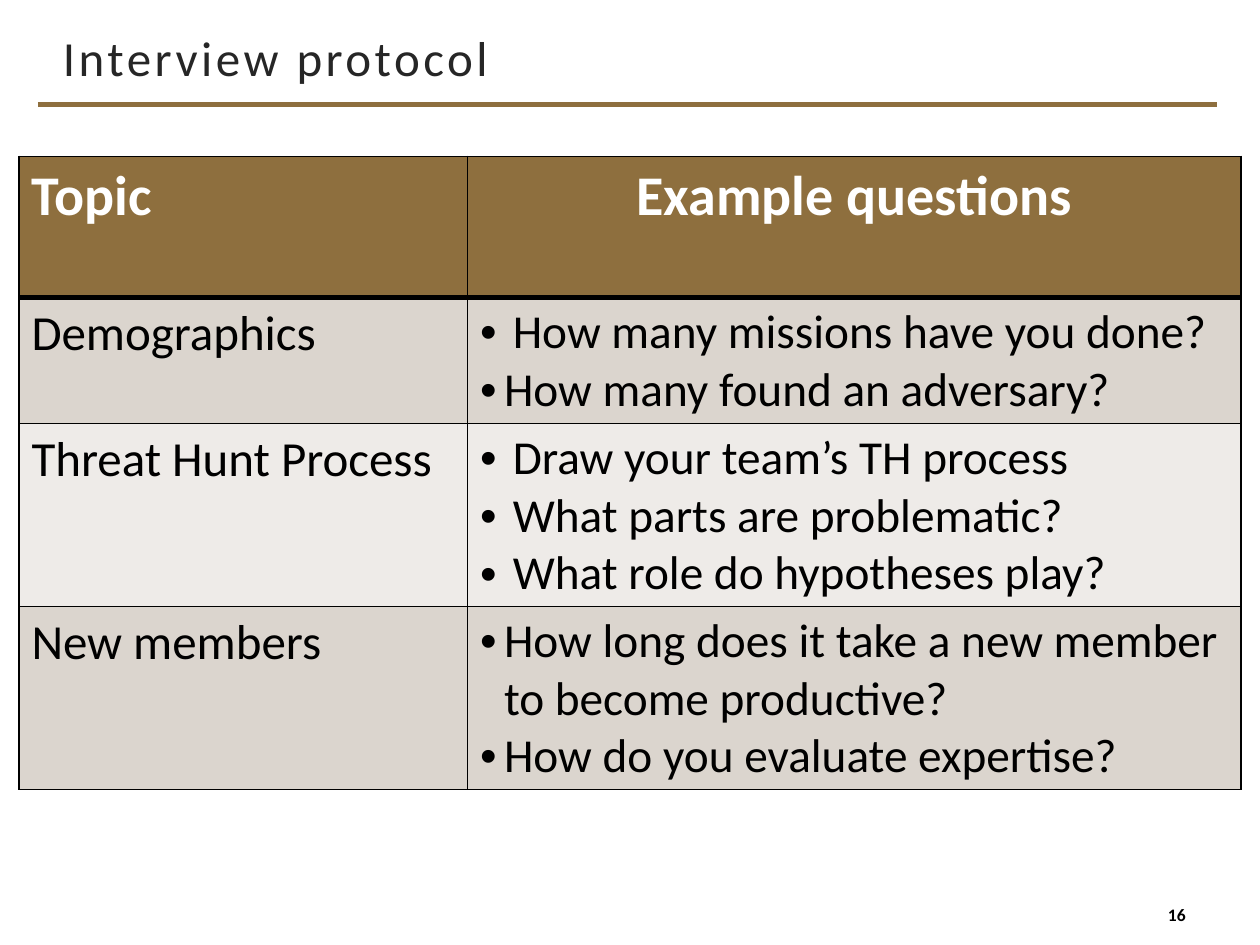
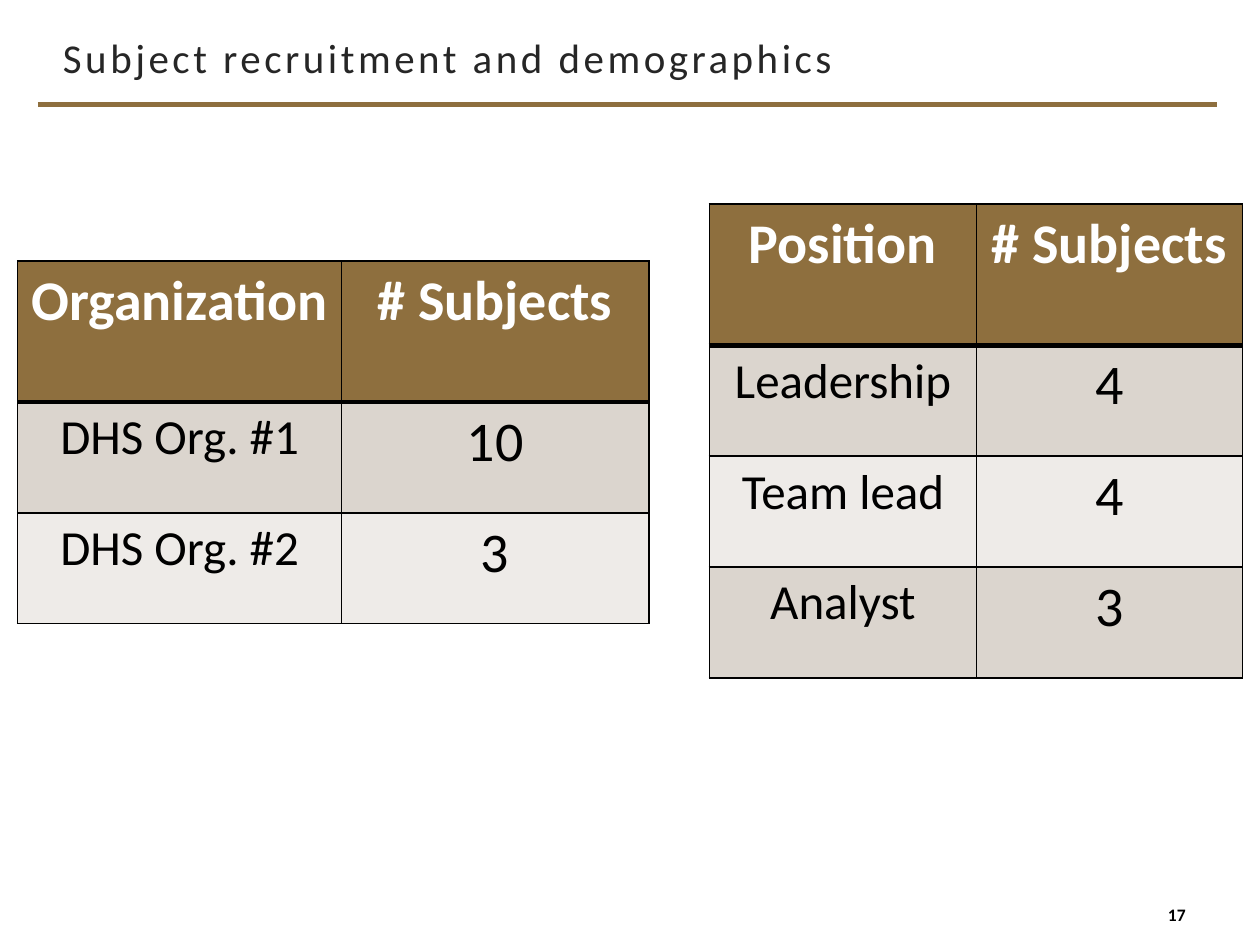
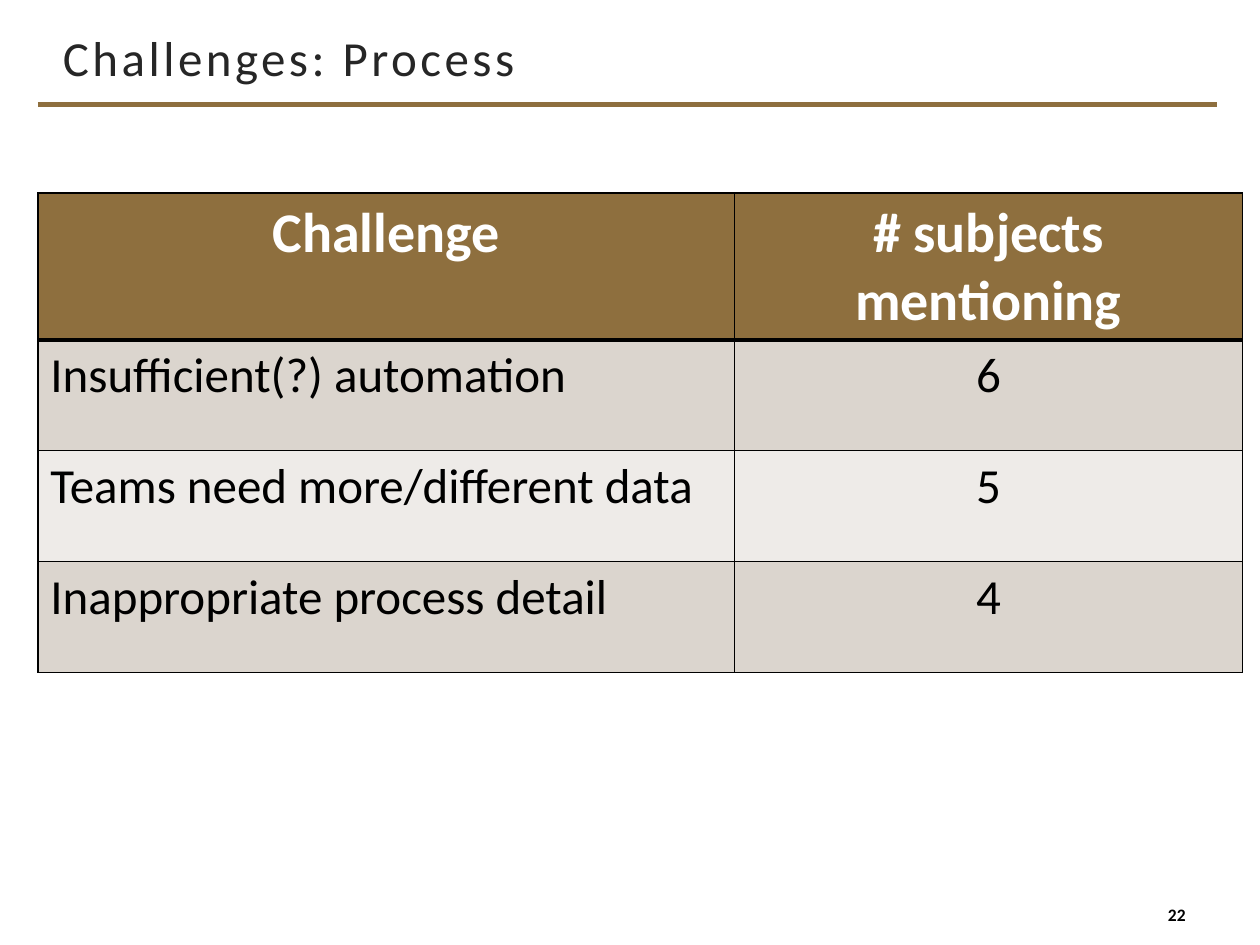
"""Build three interview-study slides with titled bands, tables and page numbers."""
import pptx
import pptx.dml.color
import pptx.enum.shapes
import pptx.enum.text
import pptx.oxml
import pptx.oxml.ns
import pptx.util

Inches, Pt = pptx.util.Inches, pptx.util.Pt
RGB = pptx.dml.color.RGBColor
ALIGN = {"l": pptx.enum.text.PP_ALIGN.LEFT, "c": pptx.enum.text.PP_ALIGN.CENTER}
MIDDLE = pptx.enum.text.MSO_ANCHOR.MIDDLE

FONT = "Calibri"
GOLD = RGB(0x8E, 0x6F, 0x3E)
BLACK = RGB(0, 0, 0)
WHITE = RGB(0xFF, 0xFF, 0xFF)
TITLE_GRAY = RGB(0x26, 0x26, 0x26)
BANDS = (RGB(0xDB, 0xD5, 0xCE), RGB(0xEE, 0xEB, 0xE8))
HEADER_HEIGHT, ROW_HEIGHT = 1.12, 0.88
WIDE, NARROW = 0.26, 0.19

SLIDES = [
    {"title": "Interview protocol", "size": 28, "number": 16, "tables": [
        {"at": (0.15, 1.24), "cols": (3.56, 6.14), "sizes": (28, 27),
         "header_align": "lc", "body_align": "ll",
         "header": ("Topic", "Example questions"),
         "body": [
             ("Demographics", [("How many missions have you done?", WIDE),
                               ("How many found an adversary?", NARROW)]),
             ("Threat Hunt Process", [("Draw your team’s TH process", WIDE),
                                      ("What parts are problematic?", WIDE),
                                      ("What role do hypotheses play?", WIDE)]),
             ("New members", [
                 ("How long does it take a new member to become productive?", NARROW),
                 ("How do you evaluate expertise?", NARROW)]),
         ]}]},
    {"title": "Subject recruitment and demographics", "size": 23.4, "number": 17, "tables": [
        {"at": (0.14, 2.07), "cols": (2.57, 2.44), "sizes": (28, 32),
         "header_align": "cc", "body_align": "cc",
         "header": ("Organization", "# Subjects"),
         "body": [("DHS Org. #1", "10"), ("DHS Org. #2", "3")]},
        {"at": (5.63, 1.62), "cols": (2.12, 2.11), "sizes": (28, 32),
         "header_align": "cc", "body_align": "cc",
         "header": ("Position", "# Subjects"),
         "body": [("Leadership", "4"), ("Team lead", "4"), ("Analyst", "3")]}]},
    {"title": "Challenges: Process", "size": 28, "number": 22, "tables": [
        {"at": (0.3, 1.53), "cols": (5.53, 4.03), "sizes": (28, 28),
         "header_align": "cc", "body_align": "lc",
         "header": ("Challenge", "# subjects mentioning"),
         "body": [("Insufficient(?) automation", "6"),
                  ("Teams need more/different data", "5"),
                  ("Inappropriate process detail", "4")]}]},
]


def add_xml(parent, tag, body="", **attrs):
    text = " ".join(f'{k}="{v}"' for k, v in attrs.items())
    ns = pptx.oxml.ns.nsdecls("a")
    parent.append(pptx.oxml.parse_xml(f"<a:{tag} {ns} {text}>{body}</a:{tag}>"))


def add_run(p, text, size, color, bold=False):
    r = p.add_run()
    r.text = text
    r.font.name, r.font.size, r.font.bold = FONT, Pt(size), bold
    r.font.color.rgb = color
    return r


def set_insets(tf, x, y):
    tf.margin_left = tf.margin_right = Inches(x)
    tf.margin_top = tf.margin_bottom = Inches(y)
    tf.vertical_anchor = MIDDLE
    tf.word_wrap = True


def add_frame(s, title, size, number):
    rule = s.shapes.add_connector(pptx.enum.shapes.MSO_CONNECTOR.STRAIGHT,
                                  Inches(0.3), Inches(0.83), Inches(9.66), Inches(0.83))
    rule.line.color.rgb, rule.line.width = GOLD, Pt(3)
    add_xml(rule._element.spPr, "effectLst")

    sp = s.shapes.add_textbox(Inches(0.3), Inches(0.13), Inches(8.8), Inches(0.7))
    set_insets(sp.text_frame, 0.2, 0.2)
    p = sp.text_frame.paragraphs[0]
    p.line_spacing = 0.9
    r = add_run(p, title, size, TITLE_GRAY)
    r.font._element.set("spc", "200")

    sp = s.shapes.add_shape(pptx.enum.shapes.MSO_SHAPE.OVAL,
                            Inches(9.14), Inches(7.06), Inches(0.4), Inches(0.4))
    sp.shadow.inherit = False
    sp.fill.background()
    sp.line.fill.background()
    set_insets(sp.text_frame, 0.02, 0.05)
    p = sp.text_frame.paragraphs[0]
    p.alignment = ALIGN["c"]
    add_run(p, str(number), 10, BLACK, True)


def style_cell(cell, fill, top, bottom):
    tcPr = cell._tc.get_or_add_tcPr()
    line = f'<a:solidFill><a:srgbClr val="{BLACK}"/></a:solidFill>'
    for tag, width in (("lnL", 1), ("lnR", 1), ("lnT", top), ("lnB", bottom)):
        add_xml(tcPr, tag, line, w=Pt(width))
    cell.fill.solid()
    cell.fill.fore_color.rgb = fill


def write_cell(cell, content, align, size, color, bold):
    items = [(content, 0)] if isinstance(content, str) else content
    tf = cell.text_frame
    for i, (text, indent) in enumerate(items):
        p = tf.add_paragraph() if i else tf.paragraphs[0]
        p.alignment = ALIGN[align]
        if indent:
            pPr = p._p.get_or_add_pPr()
            pPr.set("marL", str(Inches(indent)))
            pPr.set("indent", str(-Inches(indent)))
            add_xml(pPr, "buFont", typeface="Arial")
            add_xml(pPr, "buChar", char="•")
        add_run(p, text, size, color, bold)


def add_grid(s, spec):
    rows = [spec["header"]] + spec["body"]
    heights = [HEADER_HEIGHT] + [ROW_HEIGHT] * len(spec["body"])
    left, top = spec["at"]
    table = s.shapes.add_table(len(rows), len(spec["cols"]), Inches(left), Inches(top),
                               Inches(sum(spec["cols"])), Inches(sum(heights))).table
    table.horz_banding = False
    for column, width in zip(table.columns, spec["cols"]):
        column.width = Inches(width)
    for i, (row, height) in enumerate(zip(rows, heights)):
        table.rows[i].height = Inches(height)
        for j, content in enumerate(row):
            cell = table.cell(i, j)
            if i == 0:
                style_cell(cell, GOLD, 1, 3)
                write_cell(cell, content, spec["header_align"][j], 32, WHITE, True)
            else:
                style_cell(cell, BANDS[(i - 1) % 2], 3 if i == 1 else 1, 1)
                write_cell(cell, content, spec["body_align"][j], spec["sizes"][j], BLACK, False)


def main():
    prs = pptx.Presentation()
    prs.slide_width, prs.slide_height = Inches(10), Inches(7.5)
    for page in SLIDES:
        s = prs.slides.add_slide(prs.slide_layouts[6])
        add_frame(s, page["title"], page["size"], page["number"])
        for grid in page["tables"]:
            add_grid(s, grid)
    prs.save("out.pptx")


if __name__ == "__main__":
    main()
